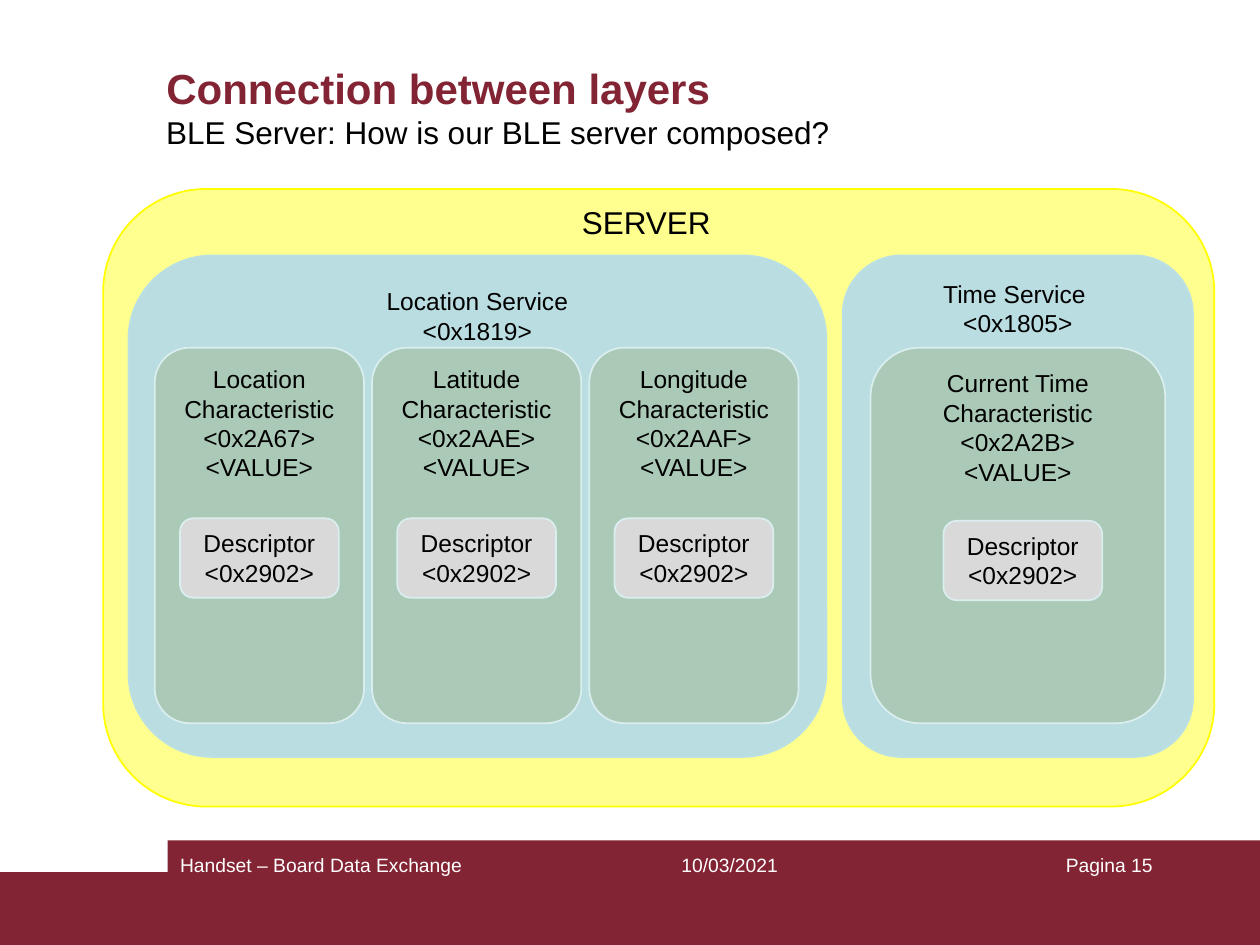
from dataclasses import dataclass

import pptx
import pptx.dml.color
import pptx.enum.shapes
import pptx.enum.text
import pptx.util

Cm = pptx.util.Cm
Shapes = pptx.enum.shapes.MSO_SHAPE
Align = pptx.enum.text.PP_ALIGN
Anchor = pptx.enum.text.MSO_ANCHOR

COLOURS = {
    "maroon": "822433",
    "white": "FFFFFF",
    "black": "000000",
    "server": "FFFF8F",
    "server line": "FFFF00",
    "service": "BADDE1",
    "service line": "BBE0E3",
    "characteristic": "AAC9B6",
    "descriptor": "D9D9D9",
    "inner line": "DAEDEF",
}
ROUNDING = 0.167
CHARACTERISTIC_TOP, CHARACTERISTIC_HEIGHT = 7.01, 7.57
DESCRIPTOR_TOP, DESCRIPTOR_WIDTH, DESCRIPTOR_HEIGHT = 10.45, 3.2, 1.6


@dataclass
class Area:
    """A rectangle in centimetres."""
    left: float
    top: float
    width: float
    height: float

    def lengths(self) -> list:
        return [Cm(n) for n in (self.left, self.top, self.width, self.height)]


@dataclass
class Service:
    text: str
    area: Area


@dataclass
class Characteristic:
    name: str
    code: str
    left: float
    width: float = 4.22
    descriptor_right: float = 0
    descriptor_down: float = 0


@dataclass
class FooterItem:
    text: str
    left: float
    width: float
    align: Align


SERVICES = [
    Service("Location Service\n<0x1819>", Area(2.59, 5.15, 14.07, 10.11)),
    Service("Time Service \n<0x1805>", Area(16.99, 5.15, 7.06, 10.11)),
]
LOCATION_PARTS = [("Location", "0x2A67"), ("Latitude", "0x2AAE"), ("Longitude", "0x2AAF")]
CHARACTERISTICS = [
    Characteristic(name, code, 3.12 + 4.38 * column)
    for column, (name, code) in enumerate(LOCATION_PARTS)
] + [Characteristic("Current Time", "0x2A2B", 17.55, 5.94, 0.1, 0.05)]
FOOTER = [
    FooterItem("Handset – Board Data Exchange", 3.38, 8.05, Align.LEFT),
    FooterItem("10/03/2021", 12.07, 5.28, Align.CENTER),
    FooterItem("Pagina 15", 18.21, 5.28, Align.RIGHT),
]


def colour(name: str) -> pptx.dml.color.RGBColor:
    return pptx.dml.color.RGBColor.from_string(COLOURS[name])


def write(box, text: str, *, size: float = 14, ink: str = "black", bold: bool = False,
          align: Align = Align.CENTER, anchor: Anchor = Anchor.TOP, wrap: bool = True) -> None:
    """Fill a shape with text, one paragraph for each line."""
    frame = box.text_frame
    frame.text = text
    frame.word_wrap = wrap
    frame.vertical_anchor = anchor
    for para in frame.paragraphs:
        para.alignment = align
        para.font.name = "Arial"
        para.font.size = pptx.util.Pt(size)
        para.font.bold = bold
        para.font.color.rgb = colour(ink)


def add_panel(page, area: Area, fill: str, line: str = "", text: str = "",
              kind: Shapes = Shapes.ROUNDED_RECTANGLE) -> None:
    panel = page.shapes.add_shape(kind, *area.lengths())
    panel.shadow.inherit = False
    panel.fill.solid()
    panel.fill.fore_color.rgb = colour(fill)
    if line:
        panel.line.color.rgb = colour(line)
        panel.line.width = pptx.util.Pt(1)
    else:
        panel.line.fill.background()
    if kind == Shapes.ROUNDED_RECTANGLE:
        panel.adjustments[0] = ROUNDING
    if text:
        write(panel, text)


def add_label(page, area: Area, text: str, **text_format) -> None:
    write(page.shapes.add_textbox(*area.lengths()), text, **text_format)


def add_characteristic(page, item: Characteristic) -> None:
    """Draw a characteristic with its descriptor centred inside."""
    add_panel(page, Area(item.left, CHARACTERISTIC_TOP, item.width, CHARACTERISTIC_HEIGHT),
              "characteristic", "inner line",
              f"{item.name} Characteristic\n<{item.code}>\n<VALUE>")
    left = item.left + (item.width - DESCRIPTOR_WIDTH) / 2 + item.descriptor_right
    add_panel(page, Area(left, DESCRIPTOR_TOP + item.descriptor_down,
                         DESCRIPTOR_WIDTH, DESCRIPTOR_HEIGHT),
              "descriptor", "inner line", "Descriptor\n<0x2902>")


def add_footer(page) -> None:
    for area in (Area(0, 17.58, 25.4, 1.47), Area(3.38, 16.94, 22.02, 2.11)):
        add_panel(page, area, "maroon", kind=Shapes.RECTANGLE)
    for item in FOOTER:
        add_label(page, Area(item.left, 17.07, item.width, 1.27), item.text,
                  size=11, ink="white", align=item.align)


def add_heading(page) -> None:
    title = page.shapes.title
    title.left, title.top, title.width, title.height = Area(3.1, 1.06, 20.6, 1.42).lengths()
    write(title, "Connection between layers", size=24, ink="maroon", bold=True,
          align=Align.LEFT, anchor=Anchor.MIDDLE)
    add_label(page, Area(3.1, 2.16, 20.57, 1.02),
              "BLE Server: How is our BLE server composed?", size=18, align=Align.LEFT)


def main() -> None:
    deck = pptx.Presentation()
    deck.slide_width, deck.slide_height = Cm(25.4), Cm(19.05)
    page = deck.slides.add_slide(deck.slide_layouts.get_by_name("Title Only"))
    add_footer(page)
    add_heading(page)
    add_panel(page, Area(2.08, 3.81, 22.4, 12.45), "server", "server line")
    for service in SERVICES:
        add_panel(page, service.area, "service", "service line", service.text)
    for item in CHARACTERISTICS:
        add_characteristic(page, item)
    add_label(page, Area(11.48, 3.96, 3.12, 1.02), "SERVER", size=18,
              align=Align.LEFT, wrap=False)
    deck.save("out.pptx")


if __name__ == "__main__":
    main()
